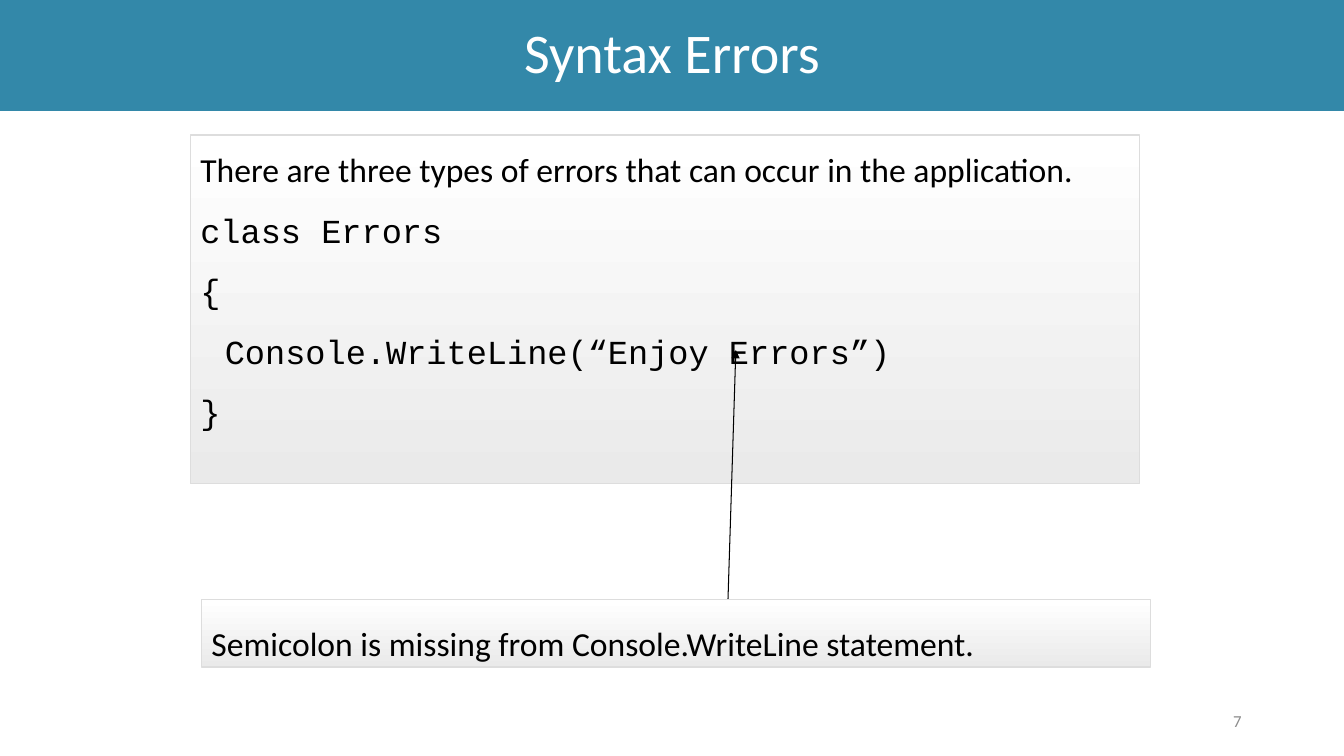
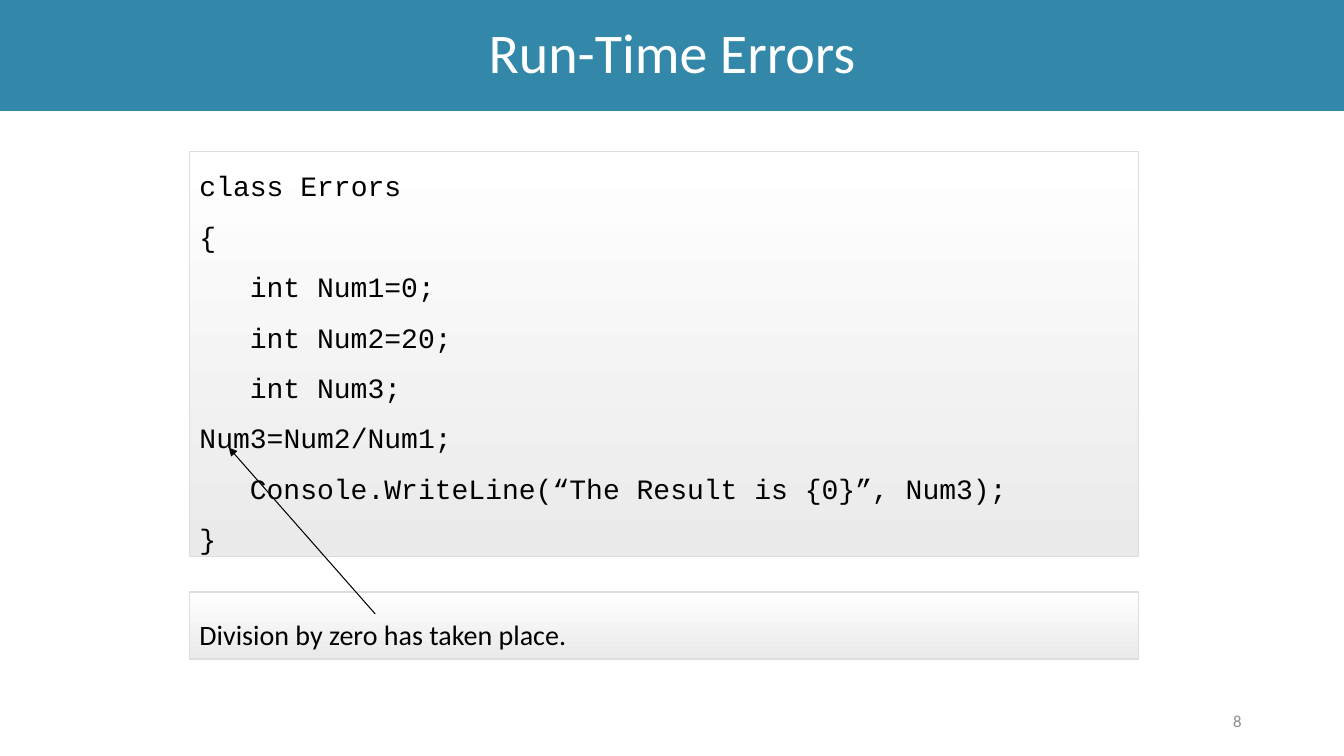
"""Build two slides on syntax errors and run-time errors."""
from dataclasses import dataclass

from lxml.etree import SubElement
from pptx import Presentation
from pptx.dml.color import RGBColor
from pptx.enum.shapes import MSO_CONNECTOR, MSO_SHAPE
from pptx.enum.text import MSO_ANCHOR, PP_ALIGN
from pptx.oxml.ns import qn
from pptx.util import Pt


@dataclass(frozen=True)
class Theme:
    band: RGBColor = RGBColor(0x33, 0x88, 0xA9)
    white: RGBColor = RGBColor(0xFF, 0xFF, 0xFF)
    black: RGBColor = RGBColor(0, 0, 0)
    shade: RGBColor = RGBColor(0xEA, 0xEA, 0xEA)
    border: RGBColor = RGBColor(0xDD, 0xDD, 0xDD)
    muted: RGBColor = RGBColor(0x8C, 0x8C, 0x8C)
    body_font: str = "Calibri"
    code_font: str = "Courier New"
    title_size: int = 40
    large_size: int = 24
    small_size: int = 20
    number_size: int = 12
    panel_width: int = 678
    note_height: int = 48


class Deck:
    def __init__(self, theme):
        self.theme = theme
        self.prs = Presentation()
        self.prs.slide_width, self.prs.slide_height = Pt(960), Pt(540)
        self.s = None

    def slide(self, title, number):
        t = self.theme
        self.s = self.prs.slides.add_slide(self.prs.slide_layouts[6])
        sp = self.rect(0, 0, 960, 79.2)
        sp.fill.solid()
        sp.fill.fore_color.rgb = t.band
        sp.line.fill.background()
        self.set_text(sp.text_frame, [(title, t.body_font, 0)], t.title_size,
                      t.white, PP_ALIGN.CENTER, 0.9)
        box = self.s.shapes.add_textbox(Pt(678), Pt(500.4), Pt(216), Pt(28.8))
        self.set_text(box.text_frame, [(str(number), t.body_font, 0)],
                      t.number_size, t.muted, PP_ALIGN.RIGHT, 1.0)

    def rect(self, x, y, w, h):
        sp = self.s.shapes.add_shape(MSO_SHAPE.RECTANGLE, Pt(x), Pt(y), Pt(w), Pt(h))
        sp.shadow.inherit = False
        return sp

    def set_text(self, tf, lines, size, color, align, spacing):
        tf.word_wrap = True
        tf.vertical_anchor = MSO_ANCHOR.MIDDLE
        for i, (text, font, indent) in enumerate(lines):
            p = tf.add_paragraph() if i else tf.paragraphs[0]
            p.add_run().text = text
            p.alignment = align
            p.line_spacing = spacing
            if indent:
                p.level = 1
                pPr = p._p.get_or_add_pPr()
                pPr.set("marL", str(Pt(indent)))
                pPr.set("indent", "0")
            p.font.name = font
            p.font.size = Pt(size)
            p.font.color.rgb = color

    def panel(self, x, y, h, lines, size, bottom=3.6):
        t = self.theme
        sp = self.rect(x, y, t.panel_width, h)
        sp.fill.gradient()
        sp.fill.gradient_angle = 270
        for stop, color, position in zip(sp.fill.gradient_stops, (t.white, t.shade), (0, 1)):
            stop.color.rgb = color
            stop.position = position
        sp.line.color.rgb = t.border
        sp.line.width = Pt(1)
        sp.text_frame.margin_bottom = Pt(bottom)
        self.set_text(sp.text_frame, lines, size, t.black, PP_ALIGN.LEFT, 1.5)

    def note(self, x, y, text, size):
        self.panel(x, y, self.theme.note_height, [(text, self.theme.body_font, 0)], size)

    def code(self, *lines):
        return [(text, self.theme.code_font, indent) for text, indent in lines]

    def arrow(self, x1, y1, x2, y2):
        c = self.s.shapes.add_connector(MSO_CONNECTOR.STRAIGHT, Pt(x1), Pt(y1), Pt(x2), Pt(y2))
        c.line.color.rgb = self.theme.black
        c.line.width = Pt(0.75)
        spPr = c._element.spPr
        SubElement(spPr.find(qn("a:ln")), qn("a:tailEnd"), type="triangle")
        SubElement(spPr, qn("a:effectLst"))


def main():
    t = Theme()
    deck = Deck(t)

    deck.slide("Syntax Errors", 7)
    intro = "There are three types of errors that can occur in the application."
    listing = deck.code(
        ("class Errors", 0),
        ("{", 0),
        ("Console.WriteLine(“Enjoy Errors”)", 17.5),
        ("}", 0),
    )
    deck.panel(136, 96.5, 249, [(intro, t.body_font, 0)] + listing, t.large_size, bottom=45)
    deck.arrow(520, 428.4, 525.6, 250)
    deck.note(144, 428.4, "Semicolon is missing from Console.WriteLine statement.", t.large_size)

    deck.slide("Run-Time Errors", 8)
    listing = deck.code(
        ("class Errors", 0),
        ("{", 0),
        ("int Num1=0;", 36),
        ("int Num2=20;", 36),
        ("int Num3;", 36),
        ("Num3=Num2/Num1;", 0),
        ("Console.WriteLine(“The Result is {0}”, Num3);", 36),
        ("}", 0),
    )
    deck.panel(135.4, 108, 289.4, listing, t.small_size)
    deck.note(135.4, 422.8, "Division by zero has taken place.", t.small_size)
    deck.arrow(268, 438.5, 163.4, 319.7)

    deck.prs.save("out.pptx")


if __name__ == "__main__":
    main()
